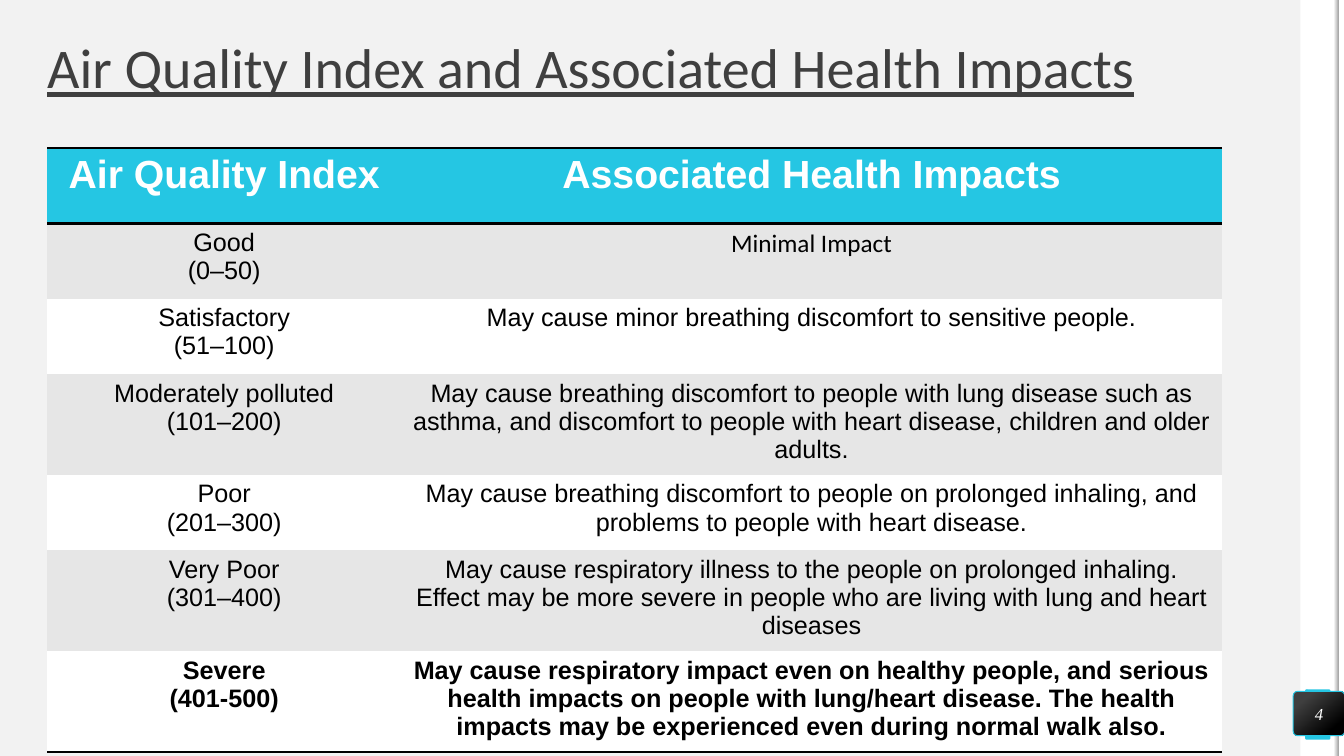
import pptx
import pptx.dml.color
import pptx.enum.shapes
import pptx.enum.text
import pptx.oxml
import pptx.oxml.ns
import pptx.util

Cm, Pt = pptx.util.Cm, pptx.util.Pt
SHAPES = pptx.enum.shapes.MSO_SHAPE
CENTER = pptx.enum.text.PP_ALIGN.CENTER
MIDDLE = pptx.enum.text.MSO_ANCHOR.MIDDLE

# Content
TITLE = "Air Quality Index and Associated Health Impacts"
PAGE_NUMBER = "4"
HEADER = ("Air Quality Index", "Associated Health Impacts")
LEVELS = [
    ("Good\n(0–50)", "Minimal Impact"),
    ("Satisfactory\n(51–100)", "May cause minor breathing discomfort to sensitive people."),
    ("Moderately polluted\n(101–200)",
     "May cause breathing discomfort to people with lung disease such as asthma, "
     "and discomfort to people with heart disease, children and older adults."),
    ("Poor\n(201–300)",
     "May cause breathing discomfort to people on prolonged inhaling, "
     "and problems to people with heart disease."),
    ("Very Poor\n(301–400)",
     "May cause respiratory illness to the people on prolonged inhaling. Effect may be "
     "more severe in people who are living with lung and heart diseases"),
    ("Severe\n(401-500)",
     "May cause respiratory impact even on healthy people, and serious health impacts on "
     "people with lung/heart disease. The health impacts may be experienced even during "
     "normal walk also."),
]
COLORS = {"page": "F2F2F2", "white": "FFFFFF", "black": "000000", "accent": "25C6E3",
          "band": "E6E6E6", "dark": "3F3F3F", "shade": "A5A5A5"}
COLUMN_WIDTHS = (Cm(8.92), Cm(20.68))
ROW_HEIGHT = Cm(1.9)
LEFT = Cm(1.19)
NO_GRID_STYLE = "{2D5ABB26-0587-4C30-8999-92F81FD0307C}"


def rgb(name):
    return pptx.dml.color.RGBColor.from_string(COLORS[name])


def paint(target, name):
    target.fill.solid()
    target.fill.fore_color.rgb = rgb(name)


def paint_gradient(shape, angle, *stops):
    shape.fill.gradient()
    shape.fill.gradient_angle = angle
    for stop, (position, name) in zip(shape.fill.gradient_stops, stops):
        stop.position = position
        stop.color.rgb = rgb(name)


def add_block(kind, left, top, width, height, corner=None):
    shape = page.shapes.add_shape(kind, Cm(left), Cm(top), Cm(width), Cm(height))
    shape.shadow.inherit = False
    shape.line.fill.background()
    if corner is not None:
        shape.adjustments[0] = corner
    return shape


def write(frame, text, font, size, color, align=None, bold=False):
    frame.text = text
    for para in frame.paragraphs:
        para.alignment = align
        para.font.name, para.font.size, para.font.bold = font, Pt(size), bold
        para.font.color.rgb = rgb(color)


def clear_insets(frame):
    frame.margin_left = frame.margin_right = frame.margin_top = frame.margin_bottom = 0
    frame.vertical_anchor = MIDDLE


def add_borders(cell, *sides):
    properties = cell._tc.get_or_add_tcPr()
    for index, side in enumerate(sides):
        properties.insert(index, pptx.oxml.parse_xml(
            f'<a:{side} {pptx.oxml.ns.nsdecls("a")} w="{Pt(2)}"><a:solidFill>'
            f'<a:srgbClr val="{COLORS["black"]}"/></a:solidFill></a:{side}>'))


deck = pptx.Presentation()
deck.slide_width, deck.slide_height = Cm(33.87), Cm(19.05)
page = deck.slides.add_slide(deck.slide_layouts[6])
paint(page.background, "page")

# Right-hand strip
paint(add_block(SHAPES.RECTANGLE, 32.77, 0, 0.99, 19.05), "white")
paint(add_block(SHAPES.ROUNDED_RECTANGLE, 32.89, 17.37, 0.64, 1.27, 0.07), "accent")
paint(add_block(SHAPES.RECTANGLE, 33.74, 0, 0.13, 19.05), "white")
edge = add_block(SHAPES.RECTANGLE, 33.61, 0, 0.13, 19.05)
paint_gradient(edge, 0, (0, "white"), (1, "shade"))

# Title
title = page.shapes.add_textbox(LEFT, Cm(1.19), Cm(30.81), Cm(1.19)).text_frame
title.word_wrap = True
clear_insets(title)
write(title, TITLE, "Calibri", 40, "dark")
title.paragraphs[0].font.underline = True
title.paragraphs[0].line_spacing = 0.9

# Page number badge
badge = add_block(SHAPES.ROUNDED_RECTANGLE, 32.59, 17.42, 1.3, 1.12, 0.1)
paint_gradient(badge, 310, (0.2, "dark"), (0.82, "black"))
badge.line.color.rgb = rgb("accent")
badge.line.width = Pt(0.75)
clear_insets(badge.text_frame)
write(badge.text_frame, PAGE_NUMBER, "Times New Roman", 12, "white", CENTER)
badge.text_frame.paragraphs[0].font.italic = True

# Table of levels
rows = [HEADER] + LEVELS
last = len(rows) - 1
table = page.shapes.add_table(len(rows), len(HEADER), LEFT, Cm(3.73),
                              sum(COLUMN_WIDTHS), ROW_HEIGHT * len(rows)).table
table._tbl.tblPr[0].text = NO_GRID_STYLE
table.horz_banding = False
for column, width in zip(table.columns, COLUMN_WIDTHS):
    column.width = width
for r, texts in enumerate(rows):
    table.rows[r].height = ROW_HEIGHT
    for c, text in enumerate(texts):
        cell = table.cell(r, c)
        paint(cell, "accent" if r == 0 else "band" if r % 2 else "white")
        font = "Calibri" if text == "Minimal Impact" else "Arial"
        size, color = (28, "white") if r == 0 else (18, "black")
        write(cell.text_frame, text, font, size, color, CENTER, bold=r in (0, last))
        if r == 0:
            add_borders(cell, "lnT", "lnB")
        elif r == last:
            add_borders(cell, "lnB")

deck.save("out.pptx")
